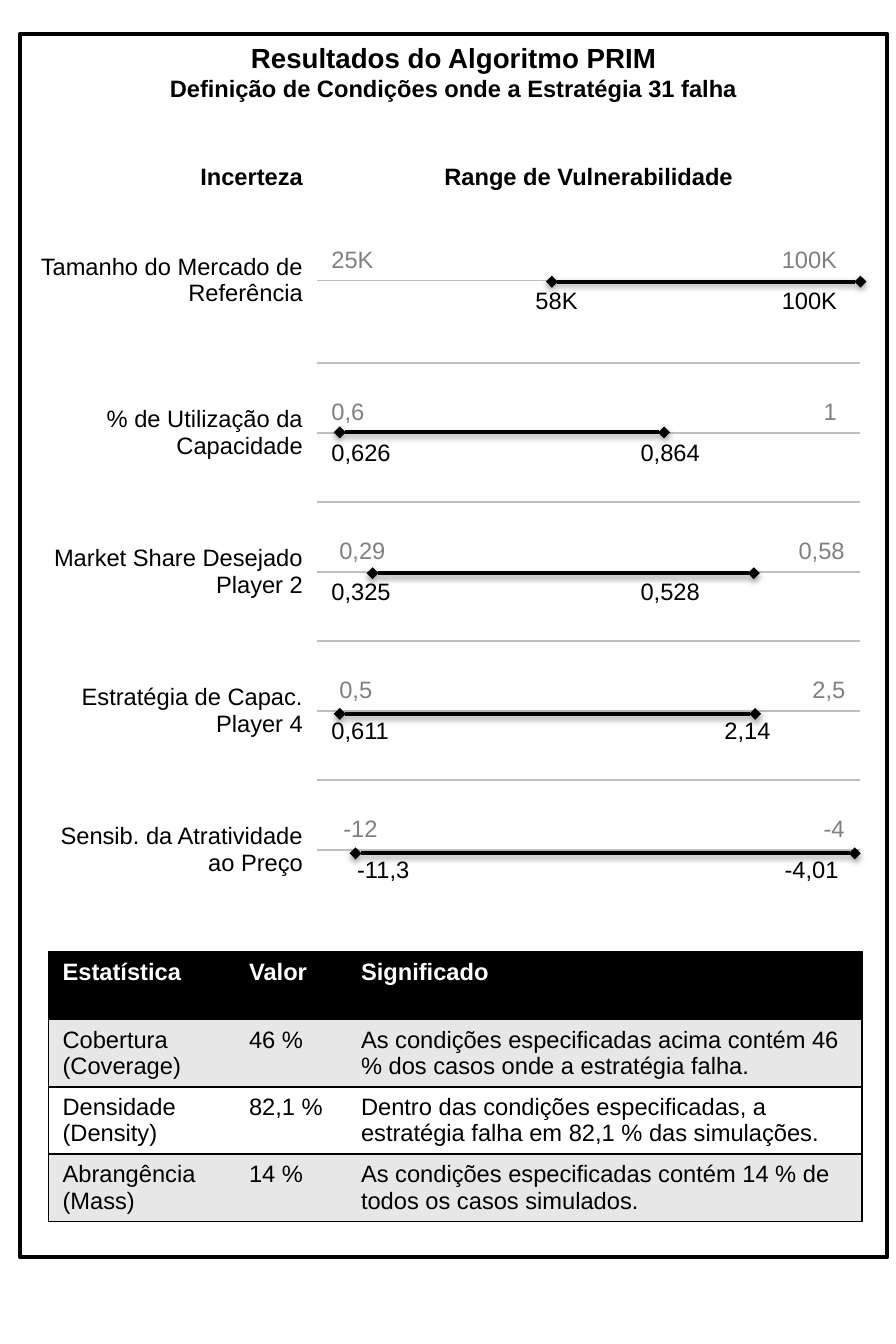
from lxml.etree import SubElement
from pptx import Presentation
from pptx.dml.color import RGBColor
from pptx.enum.shapes import MSO_CONNECTOR, MSO_SHAPE
from pptx.enum.text import MSO_ANCHOR, MSO_AUTO_SIZE, PP_ALIGN
from pptx.oxml import parse_xml
from pptx.oxml.ns import nsdecls, qn
from pptx.util import Pt

BLACK, WHITE, GREY, RULE, BAND = "000000", "FFFFFF", "808080", "BFBFBF", "E7E7E7"
NO_STYLE = "{2D5ABB26-0587-4C30-8999-92F81FD0307C}"

# Label, full range, vulnerable range; each value is (text, tab position in points)
UNCERTAINTIES = [
    ("Tamanho do Mercado de Referência",
     [("25K", 0), ("100K", 228)], [("58K", 103.3), ("100K", 228)]),
    ("% de Utilização da Capacidade",
     [("0,6", 0), ("1", 249.2)], [("0,626", 0), ("0,864", 156.5)]),
    ("Market Share Desejado Player 2",
     [("0,29", 4), ("0,58", 236.5)], [("0,325", 0), ("0,528", 156.5)]),
    ("Estratégia de Capac. Player 4",
     [("0,5", 4), ("2,5", 243.5)], [("0,611", 0), ("2,14", 199)]),
    ("Sensib. da Atratividade ao Preço",
     [("-12", 6), ("-4", 249.2)], [("-11,3", 13), ("-4,01", 229.4)]),
]
# Start, end and height of each vulnerability bar
BARS = [(279.4, 435.6, 142.6), (172, 336.2, 218.9), (188.6, 381.6, 290.2),
        (172, 382.3, 361.4), (180, 432.7, 432)]
STATISTICS = [
    ("Estatística", "Valor", "Significado"),
    ("Cobertura (Coverage)", "46 %",
     "As condições especificadas acima contém 46 % dos casos onde a estratégia falha."),
    ("Densidade (Density)", "82,1 %",
     "Dentro das condições especificadas, a estratégia falha em 82,1 % das simulações."),
    ("Abrangência (Mass)", "14 %",
     "As condições especificadas contém 14 % de todos os casos simulados."),
]


def rgb(color):
    return RGBColor.from_string(color)


class SlideBuilder:
    def __init__(self, slide, font="Arial", size=12):
        self.slide, self.font, self.size = slide, font, size

    def add_text(self, paragraph, text, color=BLACK, bold=False, size=None,
                 align=PP_ALIGN.LEFT):
        paragraph.alignment = align
        run = paragraph.add_run()
        run.text = text
        run.font.name = self.font
        run.font.size = Pt(size or self.size)
        run.font.bold = bold
        run.font.color.rgb = rgb(color)

    def title(self, heading, subheading, x, y, width, height):
        title = self.slide.shapes.title
        title.left, title.top, title.width, title.height = map(Pt, (x, y, width, height))
        frame = title.text_frame
        frame.auto_size = MSO_AUTO_SIZE.NONE
        frame.word_wrap = True
        frame.vertical_anchor = MSO_ANCHOR.TOP
        self.add_text(frame.paragraphs[0], heading, bold=True, size=14, align=PP_ALIGN.CENTER)
        self.add_text(frame.add_paragraph(), subheading, bold=True, align=PP_ALIGN.CENTER)

    def outline(self, x, y, width, height):
        box = self.slide.shapes.add_shape(
            MSO_SHAPE.RECTANGLE, Pt(x), Pt(y), Pt(width), Pt(height))
        box.shadow.inherit = False
        box.fill.background()
        box.line.color.rgb = rgb(BLACK)
        box.line.width = Pt(2)

    def table(self, x, y, widths, heights):
        table = self.slide.shapes.add_table(
            len(heights), len(widths), Pt(x), Pt(y),
            Pt(sum(widths)), Pt(sum(heights))).table
        table.first_row = table.horz_banding = False
        table._tbl.tblPr.find(qn("a:tableStyleId")).text = NO_STYLE
        for column, width in zip(table.columns, widths):
            column.width = Pt(width)
        for row, height in zip(table.rows, heights):
            row.height = Pt(height)
        return table

    def cell(self, cell, text, fill=None, anchor=MSO_ANCHOR.TOP, **style):
        cell.vertical_anchor = anchor
        if fill:
            cell.fill.solid()
            cell.fill.fore_color.rgb = rgb(fill)
        else:
            cell.fill.background()
        self.add_text(cell.text_frame.paragraphs[0], text, **style)

    def borders(self, cell, sides, color):
        properties = cell._tc.get_or_add_tcPr()
        for index, side in enumerate(sides):  # sides keep the order L, R, T, B
            properties.insert(index, parse_xml(
                f'<a:ln{side} {nsdecls("a")} w="12700"><a:solidFill>'
                f'<a:srgbClr val="{color}"/></a:solidFill></a:ln{side}>'))

    def values(self, cell, values, **style):
        text = "\t".join(value for value, _ in values)
        indented = values[0][1] > 0
        self.cell(cell, "\t" + text if indented else text, **style)
        paragraph = cell.text_frame.paragraphs[0]._p
        tabs = SubElement(paragraph.get_or_add_pPr(), qn("a:tabLst"))
        for _, position in values if indented else values[1:]:
            SubElement(tabs, qn("a:tab"), pos=str(int(Pt(position))), algn="l")

    def bar(self, start, end, y):
        bar = self.slide.shapes.add_connector(
            MSO_CONNECTOR.STRAIGHT, Pt(start), Pt(y), Pt(end), Pt(y))
        bar.line.color.rgb = rgb(BLACK)
        bar.line.width = Pt(2)
        line = bar.line._get_or_add_ln()
        for tip in ("a:headEnd", "a:tailEnd"):
            SubElement(line, qn(tip), type="diamond")
        bar._element.spPr.append(parse_xml(
            f'<a:effectLst {nsdecls("a")}><a:outerShdw blurRad="40000" dist="20000" '
            'dir="5400000" rotWithShape="0"><a:srgbClr val="000000">'
            '<a:alpha val="38000"/></a:srgbClr></a:outerShdw></a:effectLst>'))


def main():
    presentation = Presentation()
    presentation.slide_width, presentation.slide_height = Pt(453.6), Pt(680.4)
    page = SlideBuilder(presentation.slides.add_slide(presentation.slide_layouts[5]))

    # Frame and title
    page.outline(10.1, 17.2, 439.2, 619.2)
    page.title("Resultados do Algoritmo PRIM",
               "Definição de Condições onde a Estratégia 31 falha", 10.1, 17.2, 439.2, 40)

    # Uncertainty ranges: two rows for each uncertainty
    ranges = page.table(10.1, 58, [150.5, 275], [42] * 3 + [35.2] * 8)
    page.cell(ranges.cell(0, 0), "Incerteza", anchor=MSO_ANCHOR.BOTTOM,
              bold=True, align=PP_ALIGN.RIGHT)
    page.cell(ranges.cell(0, 1), "Range de Vulnerabilidade", anchor=MSO_ANCHOR.BOTTOM,
              bold=True, align=PP_ALIGN.CENTER)
    for index, (label, full, vulnerable) in enumerate(UNCERTAINTIES):
        row = 1 + 2 * index
        name, above, below = ranges.cell(row, 0), ranges.cell(row, 1), ranges.cell(row + 1, 1)
        name.merge(ranges.cell(row + 1, 0))
        page.cell(name, label, anchor=MSO_ANCHOR.MIDDLE, align=PP_ALIGN.RIGHT)
        page.values(above, full, anchor=MSO_ANCHOR.BOTTOM, color=GREY)
        page.values(below, vulnerable)
        page.borders(above, "B", RULE)
        page.borders(below, "T", RULE)

    # Vulnerability bars
    for start, end, y in BARS:
        page.bar(start, end, y)

    # Statistics
    statistics = page.table(24.5, 482, [94.4, 56.7, 260.8], [34.1] * 4)
    for row, texts in enumerate(STATISTICS):
        header = row == 0
        fill = BLACK if header else BAND if row % 2 else WHITE
        for column, (text, sides) in enumerate(zip(texts, ("LTB", "TB", "RTB"))):
            cell = statistics.cell(row, column)
            page.cell(cell, text, fill=fill, color=WHITE if header else BLACK, bold=header)
            page.borders(cell, sides, BLACK)

    presentation.save("out.pptx")


if __name__ == "__main__":
    main()
